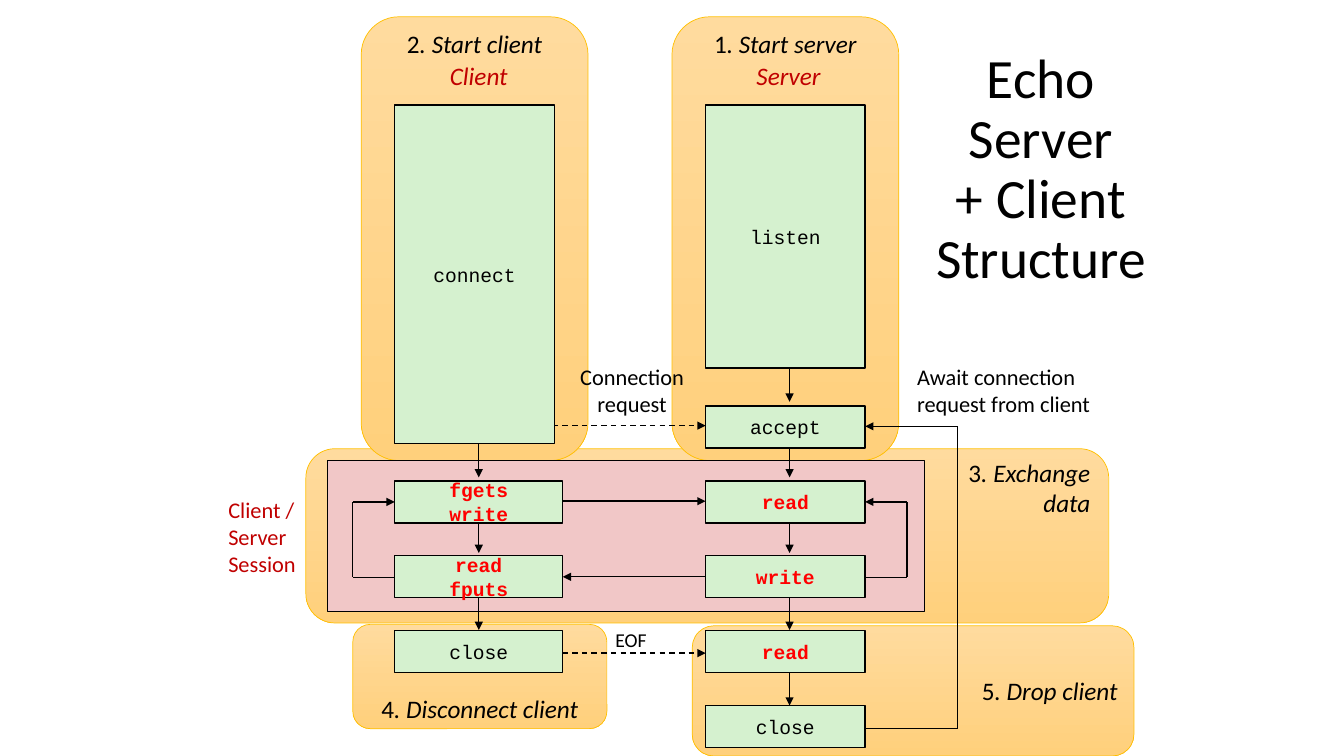
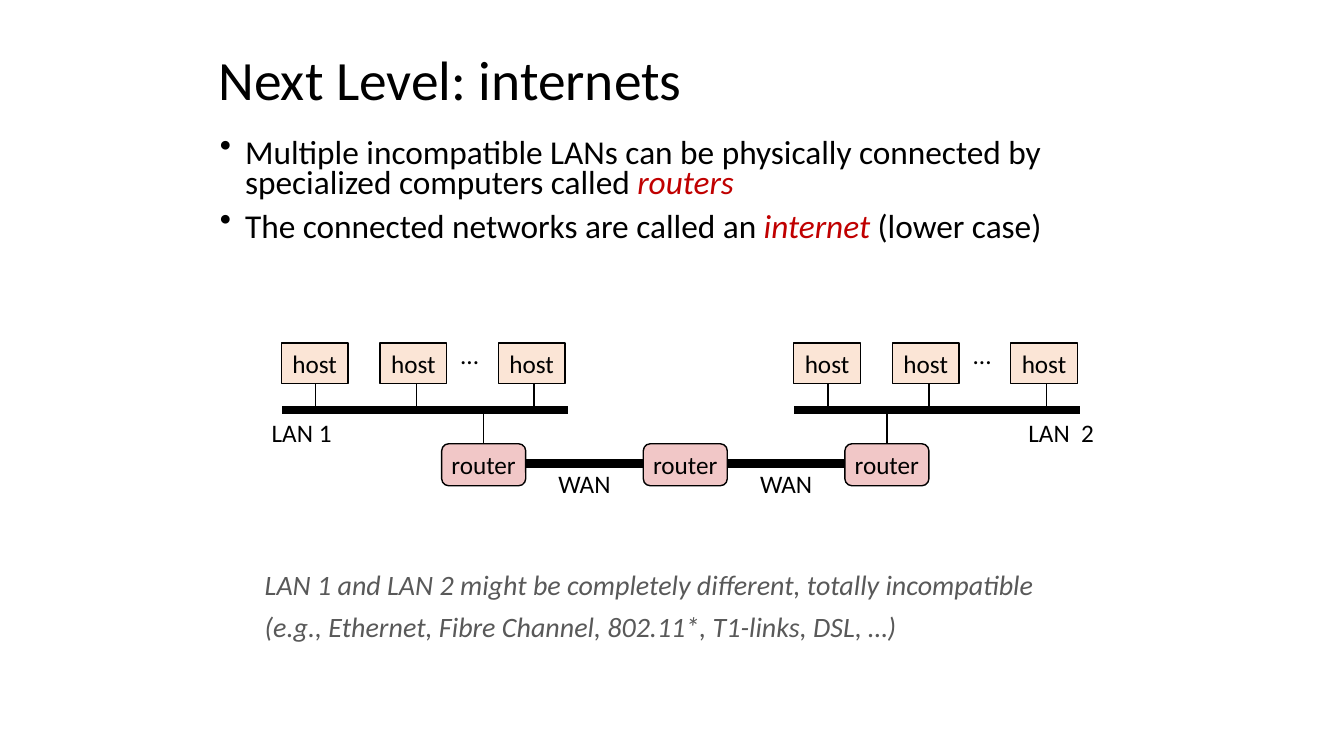
from itertools import pairwise
from typing import NamedTuple

from lxml.etree import SubElement
from pptx import Presentation
from pptx.dml.color import RGBColor
from pptx.enum.dml import MSO_LINE
from pptx.enum.shapes import MSO_CONNECTOR, MSO_SHAPE
from pptx.enum.text import MSO_ANCHOR as Anchor, PP_ALIGN as Align
from pptx.oxml.ns import qn
from pptx.shapes.autoshape import Shape
from pptx.slide import Slide
from pptx.util import Pt

BLACK = RGBColor(0x00, 0x00, 0x00)
GRAY = RGBColor(0x59, 0x59, 0x59)
DARK_RED = RGBColor(0xC0, 0x00, 0x00)
RED = RGBColor(0xFF, 0x00, 0x00)
GOLD = RGBColor(0xFF, 0xC0, 0x00)
PANEL_TOP = RGBColor(0xFF, 0xDB, 0x9E)
PANEL_BOTTOM = RGBColor(0xFF, 0xD0, 0x7C)
PINK = RGBColor(0xF1, 0xC7, 0xC7)
GREEN = RGBColor(0xD5, 0xF1, 0xCF)
PEACH = RGBColor(0xFB, 0xE5, 0xD6)
BODY_FONT = "Calibri"
CODE_FONT = "Courier New"

Point = tuple[float, float]


class Area(NamedTuple):
    left: float
    top: float
    width: float
    height: float


class Stage(NamedTuple):
    text: str
    area: Area
    align: Align
    anchor: Anchor


class Call(NamedTuple):
    text: str
    area: Area
    in_loop: bool = False


class Label(NamedTuple):
    text: str
    area: Area
    size: float = 18
    color: RGBColor = BLACK
    italic: bool = False
    align: Align = Align.CENTER
    wrap: bool = False


def write(shape: Shape, text: str, *, size: float = 18, color: RGBColor = BLACK,
          accent: RGBColor | None = None, font: str = BODY_FONT,
          bold: bool = False, italic: bool = False,
          align: Align = Align.CENTER, anchor: Anchor = Anchor.MIDDLE,
          wrap: bool = False, spacing: float | None = None,
          before: float = 0, bullet: str = "") -> None:
    """Fill a shape with text: a newline ends a paragraph, a vertical tab
    breaks a line, and _underscores_ enclose italics in the accent colour."""
    frame = shape.text_frame
    frame.word_wrap = wrap
    frame.vertical_anchor = anchor
    for index, content in enumerate(text.split("\n")):
        para = frame.add_paragraph() if index else frame.paragraphs[0]
        para.alignment = align
        if spacing:
            para.line_spacing = spacing
        if index and before:
            para.space_before = Pt(before)
        if bullet:
            properties = para._p.get_or_add_pPr()
            properties.set("marL", str(Pt(18)))
            properties.set("indent", str(Pt(-18)))
            SubElement(properties, qn("a:buChar")).set("char", bullet)
        for row, line in enumerate(content.split("\v")):
            if row:
                para.add_line_break()
            for piece, words in enumerate(line.split("_")):
                if not words:
                    continue
                stressed = piece % 2 == 1
                span = para.add_run()
                span.text = words
                span.font.name = font
                span.font.size = Pt(size)
                span.font.bold = bold
                span.font.italic = italic or stressed
                span.font.color.rgb = accent if stressed and accent else color


def add_box(page: Slide, area: Area, fill: RGBColor | None = None, *,
            kind: MSO_SHAPE = MSO_SHAPE.RECTANGLE, line: RGBColor = BLACK,
            weight: float = 1) -> Shape:
    """Add an outlined shape, with the panel gradient if no fill is given."""
    box = page.shapes.add_shape(kind, *map(Pt, area))
    box.shadow.inherit = False
    box.line.color.rgb = line
    box.line.width = Pt(weight)
    if fill is None:
        box.fill.gradient()
        box.fill.gradient_angle = 270
        for stop, color in zip(box.fill.gradient_stops, (PANEL_TOP, PANEL_BOTTOM)):
            stop.color.rgb = color
    else:
        box.fill.solid()
        box.fill.fore_color.rgb = fill
    return box


def add_text(page: Slide, area: Area, text: str, **text_format) -> None:
    write(page.shapes.add_textbox(*map(Pt, area)), text, **text_format)


def add_title(page: Slide, area: Area, text: str, align: Align) -> None:
    add_text(page, area, text, size=39.6, align=align, wrap=True, spacing=0.9)


def add_label(page: Slide, label: Label) -> None:
    add_text(page, label.area, label.text, size=label.size, color=label.color,
             italic=label.italic, align=label.align, wrap=label.wrap)


def add_route(page: Slide, *points: Point, weight: float = 1,
              arrow: bool = False, dashed: bool = False) -> None:
    """Join points by straight lines, with any arrowhead at the last point."""
    for start, end in pairwise(points):
        link = page.shapes.add_connector(
            MSO_CONNECTOR.STRAIGHT, *map(Pt, (*start, *end)))
        link.line.color.rgb = BLACK
        link.line.width = Pt(weight)
        if dashed:
            link.line.dash_style = MSO_LINE.DASH
        if arrow and end == points[-1]:
            SubElement(link.line._ln, qn("a:tailEnd")).set("type", "triangle")
        SubElement(link._element.spPr, qn("a:effectLst"))


CALL_HEIGHT = 30
CLIENT_LEFT, CLIENT_WIDTH, CLIENT_AXIS = 282, 120, 342
SERVER_LEFT, SERVER_WIDTH, SERVER_AXIS = 504, 114, 564
SERVER_RIGHT = SERVER_LEFT + SERVER_WIDTH
ACCEPT, REQUEST, REPLY, FINISH, CLOSE = (290 + 53.5 * row for row in range(5))

STAGES = (
    Stage("5_. Drop client_", Area(494.5, 447, 315.5, 93), Align.RIGHT, Anchor.MIDDLE),
    Stage("4_. Disconnect client_", Area(252, 446, 181.5, 74.5), Align.CENTER, Anchor.BOTTOM),
    Stage("3_. Exchange_\n_data_", Area(218.5, 320.5, 573.5, 124.5), Align.RIGHT, Anchor.TOP),
    Stage("2_. Start client_", Area(258, 12, 162, 317), Align.CENTER, Anchor.TOP),
    Stage("1_. Start server_", Area(480, 12, 162, 317), Align.CENTER, Anchor.TOP),
)


def client_call(text: str, top: float, in_loop: bool = False) -> Call:
    return Call(text, Area(CLIENT_LEFT, top, CLIENT_WIDTH, CALL_HEIGHT), in_loop)


def server_call(text: str, top: float, in_loop: bool = False) -> Call:
    return Call(text, Area(SERVER_LEFT, top, SERVER_WIDTH, CALL_HEIGHT), in_loop)


CALLS = (
    Call("connect", Area(CLIENT_LEFT, 75, 114, 242)),
    client_call("fgets\nwrite", REQUEST, True),
    client_call("read\nfputs", REPLY, True),
    client_call("close", FINISH),
    Call("listen", Area(SERVER_LEFT, 75, SERVER_WIDTH, 188)),
    server_call("accept", ACCEPT),
    server_call("read", REQUEST, True),
    server_call("write", REPLY, True),
    server_call("read", FINISH, True),
    server_call("close", CLOSE),
)
ECHO_LABELS = (
    Label("Client", Area(314, 39.5, 56, 29), color=DARK_RED, italic=True),
    Label("Server", Area(533, 39.5, 60.5, 29), color=DARK_RED, italic=True),
    Label("Client / Server\nSession", Area(156, 350.5, 66.5, 65), 16, DARK_RED,
          align=Align.LEFT, wrap=True),
    Label("Connection\nrequest", Area(406, 255.5, 91, 46), 16),
    Label("Await connection\nrequest from client", Area(648, 255.5, 144, 46), 16,
          align=Align.LEFT, wrap=True),
    Label("EOF", Area(432, 445, 37.5, 24.5), 14),
)


def build_echo_page(page: Slide) -> None:
    for stage in STAGES:
        panel = add_box(page, stage.area, kind=MSO_SHAPE.ROUNDED_RECTANGLE,
                        line=GOLD, weight=0.5)
        panel.text_frame.margin_top = 0
        if stage.anchor != Anchor.TOP:
            panel.text_frame.margin_bottom = 0
        write(panel, stage.text, align=stage.align, anchor=stage.anchor, wrap=True)
    add_box(page, Area(234, 329, 426.5, 108), PINK)

    for edge, turn, bottom, top in (
        (SERVER_RIGHT, 648, 412.5, 358.5),
        (CLIENT_LEFT, 252, 412.5, 358.5),
        (SERVER_RIGHT, 684, 520.5, 304.5),
    ):
        add_route(page, (edge, bottom), (turn, bottom), (turn, top), (edge, top),
                  arrow=True)

    drops = ((263, 287), (317, 341), (371, 395), (426, 450), (480, 504))
    for axis, column in ((CLIENT_AXIS, drops[1:4]), (SERVER_AXIS, drops)):
        for start, end in column:
            add_route(page, (axis, start), (axis, end), arrow=True)

    client_right = CLIENT_LEFT + CLIENT_WIDTH
    for y in (304, 466.5):
        add_route(page, (360, y), (SERVER_LEFT, y), arrow=True, dashed=True)
    add_route(page, (client_right, 358), (SERVER_LEFT, 358), arrow=True)
    add_route(page, (SERVER_LEFT, 412), (client_right, 412), arrow=True)

    for call in CALLS:
        write(add_box(page, call.area, GREEN), call.text, size=14, font=CODE_FONT,
              bold=call.in_loop, color=RED if call.in_loop else BLACK)
    for label in ECHO_LABELS:
        add_label(page, label)
    add_title(page, Area(659.5, 75, 168, 94),
              "Echo\vServer\v+ Client\vStructure", Align.CENTER)


LAN_LEFT, LAN_STEP, LAN_Y = 201, 366, 293
ROUTER_LEFT, ROUTER_STEP, ROUTER_TOP = 315.5, 144, 317
ROUTER_WIDTH, ROUTER_HEIGHT = 60, 30
WAN_Y = 331
HOSTS = ((0, 24.5), (70.5, 96.5), (155, 180.5))  # box left, tap position


def draw_lan(page: Slide, left: float) -> None:
    add_route(page, (left + 0.5, LAN_Y), (left + 204.5, LAN_Y), weight=6)
    for host, tap in HOSTS:
        add_route(page, (left + tap, 269), (left + tap, LAN_Y))
        write(add_box(page, Area(left + host, 245, 47.5, 29), PEACH), "host")
    add_text(page, Area(left + 120, 239, 29, 29), "...")


def build_internet_page(page: Slide) -> None:
    add_title(page, Area(149, 36.5, 507.5, 45.5), "Next Level: internets", Align.LEFT)
    add_text(page, Area(150, 96.5, 654.5, 96),
             "Multiple incompatible LANs can be physically connected by "
             "specialized computers called _routers_\n"
             "The connected networks are called an _internet _(lower case)",
             size=23.8, accent=DARK_RED, align=Align.LEFT, anchor=Anchor.TOP,
             wrap=True, spacing=0.75, before=10, bullet="•")

    for index in range(2):
        draw_lan(page, LAN_LEFT + index * LAN_STEP)
        uplink = ROUTER_LEFT + ROUTER_WIDTH / 2 + index * 2 * ROUTER_STEP
        add_route(page, (uplink, LAN_Y), (uplink, ROUTER_TOP))
        shift = index * ROUTER_STEP
        add_route(page, (369 + shift, WAN_Y), (465 + shift, WAN_Y), weight=6)
        add_text(page, Area(391 + shift, WAN_Y, 53, 29), "WAN")
    for index in range(3):
        area = Area(ROUTER_LEFT + index * ROUTER_STEP, ROUTER_TOP,
                    ROUTER_WIDTH, ROUTER_HEIGHT)
        write(add_box(page, area, PINK, kind=MSO_SHAPE.ROUNDED_RECTANGLE), "router")

    add_label(page, Label("LAN 1", Area(186.5, 294, 58, 29)))
    add_label(page, Label("LAN  2", Area(726.5, 294, 63, 29)))
    add_text(page, Area(182, 402, 639, 62),
             "LAN 1 and LAN 2 might be completely different, totally incompatible\n"
             "(e.g., Ethernet, Fibre Channel, 802.11*, T1-links, DSL, …)",
             size=20, color=GRAY, italic=True, align=Align.LEFT,
             anchor=Anchor.TOP, wrap=True, before=6)


def main() -> None:
    deck = Presentation()
    deck.slide_width, deck.slide_height = Pt(960), Pt(540)
    blank = deck.slide_layouts[6]
    for build in (build_echo_page, build_internet_page):
        build(deck.slides.add_slide(blank))
    deck.save("out.pptx")


if __name__ == "__main__":
    main()
